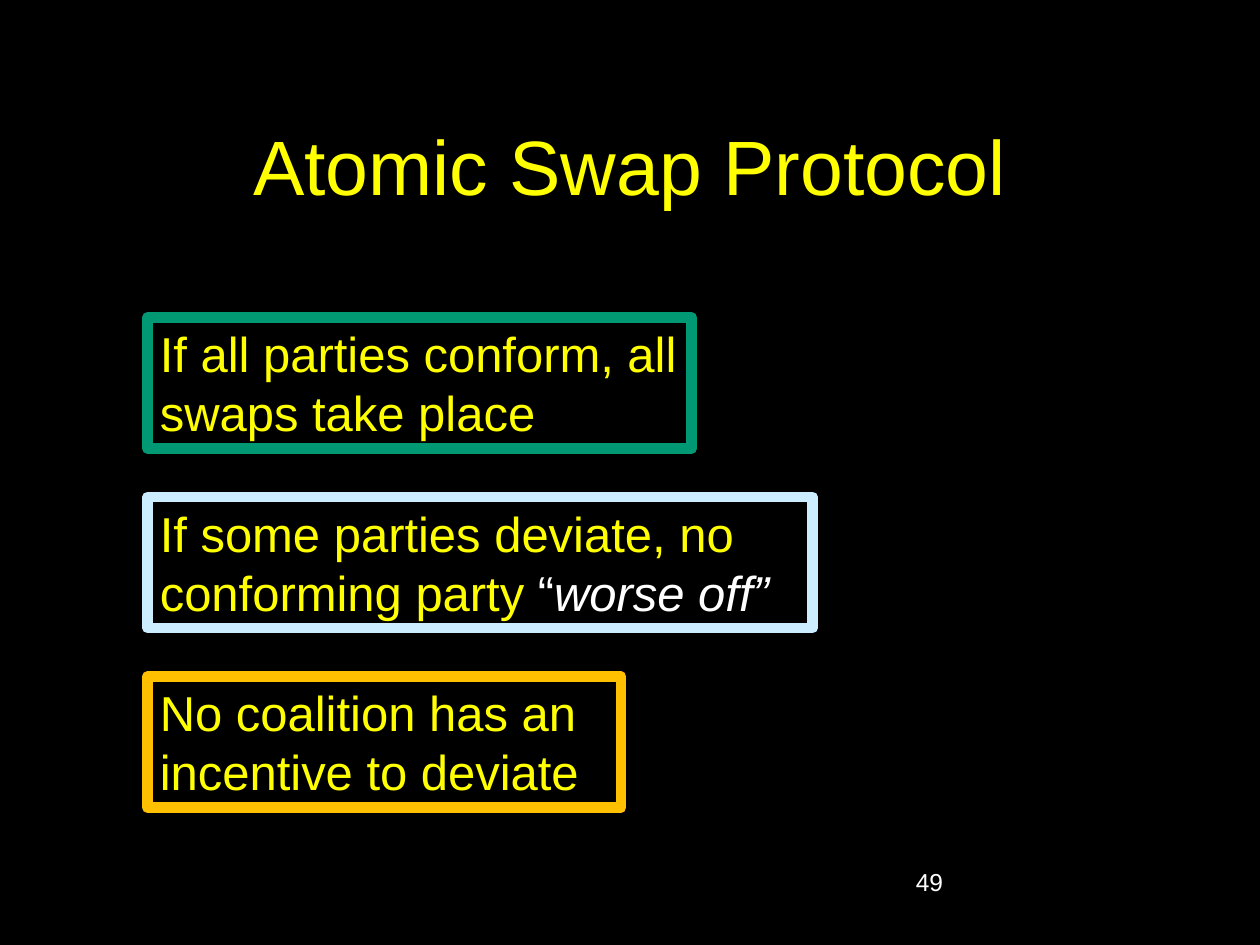
from pptx import Presentation
from pptx.dml.color import RGBColor
from pptx.enum.shapes import MSO_SHAPE
from pptx.enum.text import MSO_ANCHOR, MSO_AUTO_SIZE, PP_ALIGN
from pptx.util import Inches, Pt

RECTANGLE = MSO_SHAPE.RECTANGLE
TOP, MIDDLE = MSO_ANCHOR.TOP, MSO_ANCHOR.MIDDLE
LEFT, CENTER = PP_ALIGN.LEFT, PP_ALIGN.CENTER
GROW = MSO_AUTO_SIZE.SHAPE_TO_FIT_TEXT

THEME = {
    "font": "Arial",
    "background": "000000", "text": "FFFF00", "accent": "FFFFFF",
    "green": "009973", "pale_blue": "CCECFF", "amber": "FFC000",
    "title_size": 44, "body_size": 28, "number_size": 14,
    "border": 6,
}

# Content: each run is (text, colour, italic)
TITLE = [("Atomic Swap Protocol", "text", False)]
PAGE_NUMBER = [("49", "accent", False)]
PROPERTIES = [  # border colour, box width, runs
    ("green", 4.32, [("If all parties conform, all swaps take place", "text", False)]),
    ("pale_blue", 5.28, [("If some parties deviate, no conforming party ", "text", False),
                         ("“", "accent", False),
                         ("worse off”", "accent", True)]),
    ("amber", 3.76, [("No coalition has an incentive to deviate", "text", False)]),
]
BOX_LEFT, BOX_TOP, BOX_HEIGHT, BOX_PITCH = 1.17, 2.52, 1.04, 1.425


def color(name):
    return RGBColor.from_string(THEME[name])


def write(holder, runs, size, align=LEFT, anchor=TOP):
    frame = holder.text_frame
    frame.word_wrap = True
    frame.vertical_anchor = anchor
    paragraph = frame.paragraphs[0]
    paragraph.alignment = align
    for text, tint, italic in runs:
        run = paragraph.add_run()
        run.text = text
        run.font.name = THEME["font"]
        run.font.size = Pt(THEME[size])
        run.font.italic = italic
        run.font.color.rgb = color(tint)


prs = Presentation()
prs.slide_width, prs.slide_height = Inches(10), Inches(7.5)
slide = prs.slides.add_slide(prs.slide_layouts[6])
slide.background.fill.solid()
slide.background.fill.fore_color.rgb = color("background")

# Title and page number
title = slide.shapes.add_textbox(Inches(0.75), Inches(0.68), Inches(8.5), Inches(1.25))
write(title, TITLE, "title_size", align=CENTER, anchor=MIDDLE)
page_number = slide.shapes.add_textbox(Inches(7.17), Inches(6.83), Inches(2.08), Inches(0.5))
write(page_number, PAGE_NUMBER, "number_size")

# Protocol properties, stacked at an equal pitch
for row, (border, width, runs) in enumerate(PROPERTIES):
    box = slide.shapes.add_shape(RECTANGLE, Inches(BOX_LEFT), Inches(BOX_TOP + row * BOX_PITCH),
                                 Inches(width), Inches(BOX_HEIGHT))
    box.shadow.inherit = False
    box.fill.solid()
    box.fill.fore_color.rgb = color("background")
    box.line.color.rgb = color(border)
    box.line.width = Pt(THEME["border"])
    write(box, runs, "body_size")
    box.text_frame.auto_size = GROW
prs.save("out.pptx")
